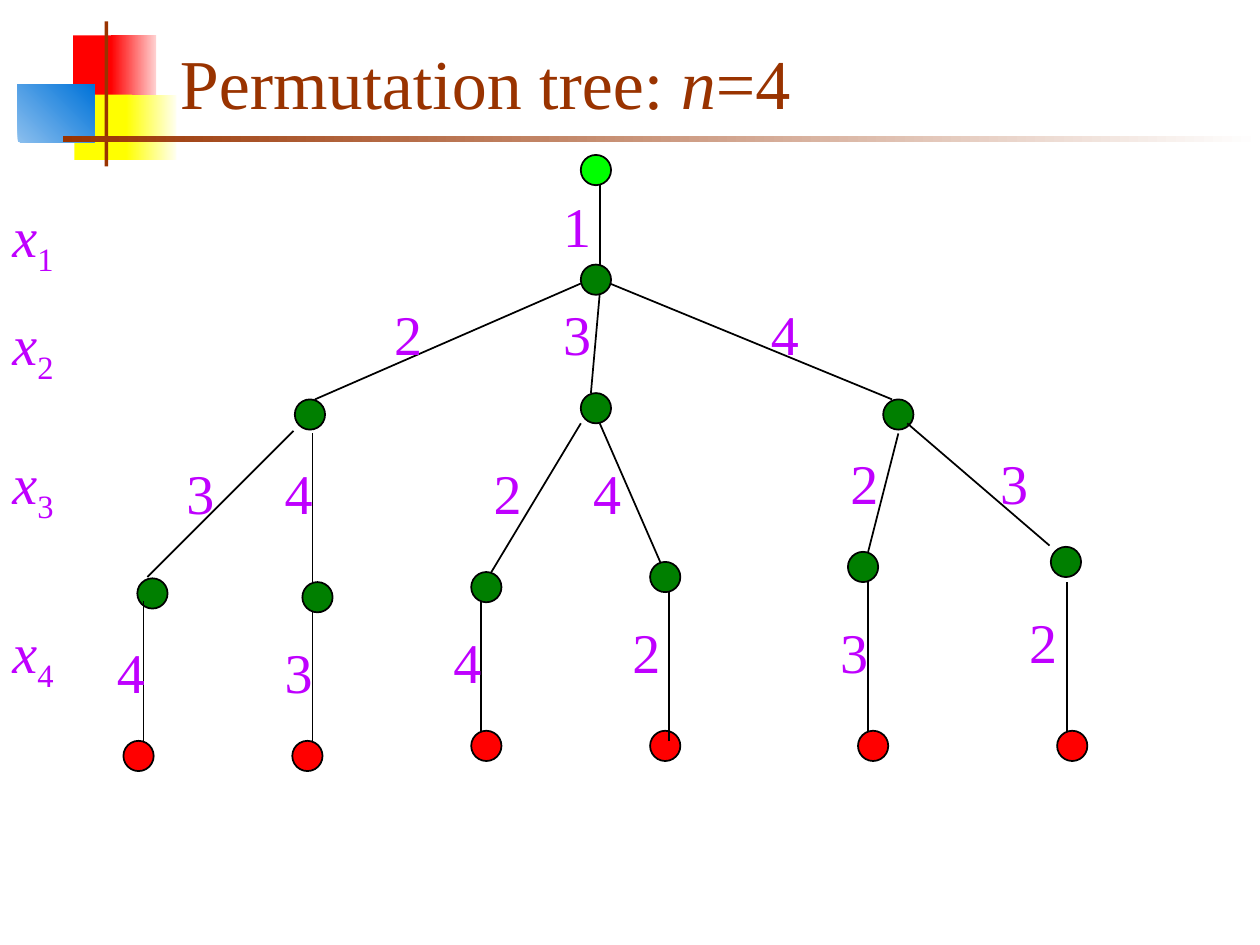
import pptx
import pptx.dml.color
import pptx.enum.shapes
import pptx.enum.text
import pptx.oxml.ns
import pptx.util
from dataclasses import dataclass
from lxml import etree

Inches = pptx.util.Inches
Pt = pptx.util.Pt
Shape = pptx.enum.shapes.MSO_SHAPE


@dataclass(frozen=True)
class Theme:
    font: str = "Times New Roman"
    title_size: int = 40
    label_size: int = 32
    brown: str = "993300"
    purple: str = "BF00FF"
    black: str = "000000"
    white: str = "FFFFFF"
    root: str = "00FF00"
    inner: str = "007F00"
    leaf: str = "FF0000"
    red: str = "FF0000"
    pale_red: str = "FFD1D1"
    yellow: str = "FFFF00"
    pale_yellow: str = "FFFFF0"
    light_blue: str = "8BBFEE"
    blue: str = "0073D9"


THEME = Theme()
NODE_SIZE = 0.24

# left, top, width, height, colours, gradient angle
ORNAMENT = [
    (0.58, 0.28, 0.35, 0.52, [THEME.red], 0),
    (0.88, 0.28, 0.36, 0.52, [THEME.red, THEME.pale_red], 0),
    (0.59, 0.75, 0.46, 0.52, [THEME.yellow], 0),
    (1, 0.75, 0.4, 0.52, [THEME.yellow, THEME.pale_yellow], 0),
    (0.14, 0.67, 0.61, 0.46, [THEME.light_blue, THEME.blue], 45),
    (0.83, 0.17, 0.03, 1.15, [THEME.brown], 0),
    (0.5, 1.08, 9.5, 0.05, [THEME.brown, THEME.white], 0),
]

# Top left corners of the nodes, grouped by colour
NODES = {
    THEME.root: [(4.61, 1.23)],
    THEME.inner: [
        (4.61, 2.1),
        (2.34, 3.17), (4.61, 3.12), (7.01, 3.17),
        (1.09, 4.59), (2.4, 4.62), (3.74, 4.54),
        (5.16, 4.46), (6.73, 4.38), (8.34, 4.34),
    ],
    THEME.leaf: [(0.98, 5.88), (2.32, 5.88), (3.74, 5.8),
                 (5.16, 5.8), (6.81, 5.8), (8.39, 5.8)],
}

# Each branch: start, end, chosen value, left, top and width of its label
BRANCHES = [
    ((4.76, 1.47), (4.76, 2.1), "1", 4.37, 1.47, 0.61),
    ((4.61, 2.25), (2.5, 3.17), "2", 3.03, 2.33, 0.61),
    ((4.76, 2.33), (4.69, 3.12), "3", 4.37, 2.33, 0.51),
    ((4.84, 2.25), (7.08, 3.17), "4", 6.02, 2.33, 0.45),
    ((2.33, 3.42), (1.17, 4.58), "3", 1.38, 3.59, 0.49),
    ((2.48, 3.44), (2.48, 4.62), "4", 2.16, 3.59, 0.45),
    ((4.61, 3.36), (3.9, 4.54), "2", 3.82, 3.59, 0.61),
    ((4.76, 3.36), (5.24, 4.46), "4", 4.61, 3.59, 0.45),
    ((7.13, 3.44), (6.89, 4.38), "2", 6.65, 3.51, 0.61),
    ((7.2, 3.36), (8.33, 4.33), "3", 7.84, 3.51, 0.47),
    ((1.14, 4.77), (1.14, 5.88), "4", 0.83, 5.01, 0.45),
    ((2.48, 4.85), (2.48, 5.88), "3", 2.16, 5.01, 0.51),
    ((3.82, 4.77), (3.82, 5.8), "4", 3.5, 4.93, 0.45),
    ((5.31, 4.69), (5.31, 5.88), "2", 4.92, 4.85, 0.61),
    ((6.89, 4.62), (6.89, 5.8), "3", 6.57, 4.85, 0.47),
    ((8.47, 4.62), (8.47, 5.8), "2", 8.07, 4.77, 0.61),
]

# Subscript, top and width of each level's variable
VARIABLES = [("1", 1.55, 1.17), ("2", 2.41, 0.59),
             ("3", 3.51, 0.59), ("4", 4.85, 0.59)]


def rgb(colour):
    return pptx.dml.color.RGBColor.from_string(colour)


def add_ornament(slide, left, top, width, height, colours, angle):
    block = slide.shapes.add_shape(Shape.RECTANGLE, Inches(left), Inches(top),
                                   Inches(width), Inches(height))
    block.shadow.inherit = False
    block.line.fill.background()
    if len(colours) == 1:
        block.fill.solid()
        block.fill.fore_color.rgb = rgb(colours[0])
        return
    block.fill.gradient()
    block.fill.gradient_angle = angle
    for stop, colour in zip(block.fill.gradient_stops, colours):
        stop.color.rgb = rgb(colour)


def add_node(slide, left, top, colour):
    node = slide.shapes.add_shape(Shape.OVAL, Inches(left), Inches(top),
                                  Inches(NODE_SIZE), Inches(NODE_SIZE))
    node.shadow.inherit = False
    node.fill.solid()
    node.fill.fore_color.rgb = rgb(colour)
    node.line.color.rgb = rgb(THEME.black)
    node.line.width = Pt(1)


def add_branch(slide, start, end):
    branch = slide.shapes.add_connector(
        pptx.enum.shapes.MSO_CONNECTOR.STRAIGHT,
        *[Inches(value) for value in start + end])
    branch.line.color.rgb = rgb(THEME.black)
    branch.line.width = Pt(1)
    etree.SubElement(branch._element.spPr, pptx.oxml.ns.qn("a:effectLst"))


def add_text(slide, left, top, width, height, parts, size, colour):
    """Add one line of text from (wording, style) parts and return its box."""
    box = slide.shapes.add_textbox(Inches(left), Inches(top),
                                   Inches(width), Inches(height))
    box.text_frame.word_wrap = True
    for wording, style in parts:
        run = box.text_frame.paragraphs[0].add_run()
        run.text = wording
        run.font.name = THEME.font
        run.font.size = Pt(size)
        run.font.color.rgb = rgb(colour)
        run.font.italic = style == "italic"
        if style == "subscript":
            run._r.get_or_add_rPr().set("baseline", "-25000")
    return box


def add_title(slide):
    parts = [("Permutation tree: ", ""), ("n", "italic"), ("=4", "")]
    title = add_text(slide, 1.33, 0.25, 8.52, 0.8, parts,
                     THEME.title_size, THEME.brown)
    title.text_frame.vertical_anchor = pptx.enum.text.MSO_ANCHOR.MIDDLE


def add_label(slide, left, top, width, height, parts):
    label = add_text(slide, left, top, width, height, parts,
                     THEME.label_size, THEME.purple)
    label.text_frame.auto_size = pptx.enum.text.MSO_AUTO_SIZE.SHAPE_TO_FIT_TEXT


def main():
    deck = pptx.Presentation()
    deck.slide_width, deck.slide_height = Inches(10), Inches(7.5)
    slide = deck.slides.add_slide(deck.slide_layouts[6])

    for block in ORNAMENT:
        add_ornament(slide, *block)
    add_title(slide)
    for colour, corners in NODES.items():
        for left, top in corners:
            add_node(slide, left, top, colour)
    for start, end, value, left, top, width in BRANCHES:
        add_branch(slide, start, end)
        add_label(slide, left, top, width, 0.63, [(value, "")])
    for subscript, top, width in VARIABLES:
        add_label(slide, 0, top, width, 0.71,
                  [("x", "italic"), (subscript, "subscript")])

    deck.save("out.pptx")


if __name__ == "__main__":
    main()
